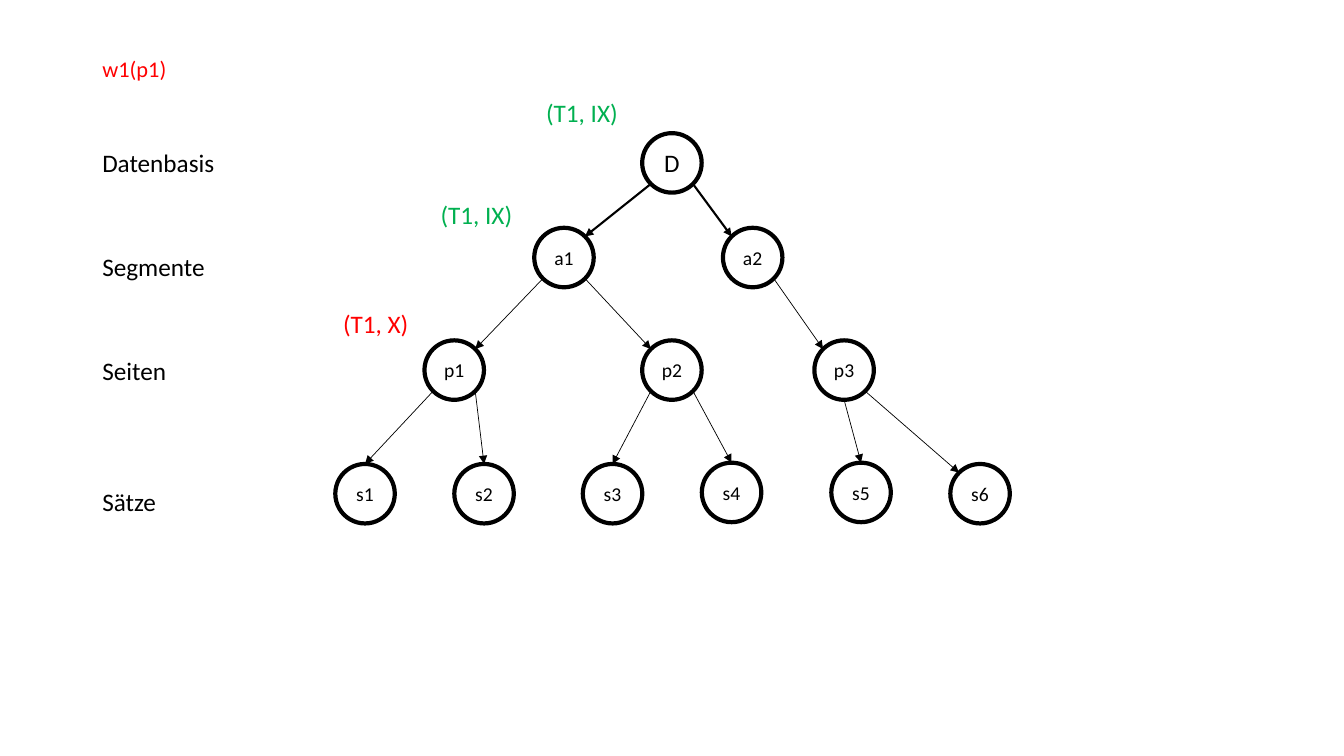
from dataclasses import dataclass
from math import sqrt

from lxml import etree
from pptx import Presentation
from pptx.dml.color import RGBColor
from pptx.enum import shapes as es, text as et
from pptx.oxml import ns
from pptx.util import Pt

HUES = {"ink": "000000", "red": "FF0000", "green": "00B050"}
FONT = "Calibri"
SIZE = 42.5  # diameter of a node
DIAG = 1 / sqrt(2)
SITES = {"N": (0, -1), "S": (0, 1), "NW": (-DIAG, -DIAG), "NE": (DIAG, -DIAG),
         "SW": (-DIAG, DIAG), "SE": (DIAG, DIAG)}


@dataclass
class Node:
    name: str
    left: float
    top: float
    size: int = 14

    def site(self, key: str) -> tuple[float, float]:
        """Return the point on the rim in the given compass direction."""
        x, y = SITES[key]
        half = SIZE / 2
        return self.left + half * (1 + x), self.top + half * (1 + y)


@dataclass
class Edge:
    start: str
    out: str
    end: str
    into: str
    width: float = 0.5


@dataclass
class Label:
    text: str
    left: float
    top: float
    width: float
    hue: str = "ink"
    wrap: bool = False


NODES = [
    Node("D", 458.7, 95.1, 18),
    Node("a1", 381.6, 162.7), Node("a2", 516.4, 162.7),
    Node("p1", 303.2, 243.1), Node("p2", 458.7, 243.1), Node("p3", 581.7, 243.1),
    Node("s1", 239.5, 331.4), Node("s2", 324.5, 331.4), Node("s3", 416.3, 331.4),
    Node("s4", 501.3, 330.5), Node("s5", 593.8, 330.5), Node("s6", 678.8, 331.4),
]
EDGES = [
    Edge("D", "SW", "a1", "NE", 1.5), Edge("D", "SE", "a2", "NW", 1.5),
    Edge("a1", "SW", "p1", "NE"), Edge("a1", "SE", "p2", "NW"),
    Edge("a2", "SE", "p3", "NW"),
    Edge("p1", "SW", "s1", "N"), Edge("p1", "SE", "s2", "N"),
    Edge("p2", "SW", "s3", "N"), Edge("p2", "SE", "s4", "N"),
    Edge("p3", "S", "s5", "N"), Edge("p3", "SE", "s6", "NW"),
]
LABELS = [
    Label("Datenbasis", 66, 101.8, 95.8),
    Label("Segmente", 66, 176.1, 88.6),
    Label("Seiten", 66, 250.5, 60.5),
    Label("Sätze", 66, 344, 53.3),
    Label("(T1, IX)", 383, 66.2, 66.2, "green"),
    Label("(T1, IX)", 307.6, 138.6, 78.5, "green", True),
    Label("(T1, X)", 238, 216.5, 86.4, "red", True),
]


def tint(hue: str) -> RGBColor:
    return RGBColor.from_string(HUES[hue])


def write(frame, words: str, size: int, hue: str = "ink"):
    """Fill the text frame and return its formatted paragraph."""
    frame.text = words
    par = frame.paragraphs[0]
    par.font.name = FONT
    par.font.size = Pt(size)
    par.font.color.rgb = tint(hue)
    return par


def draw_title(slide) -> None:
    title = slide.shapes.title
    title.left, title.top = Pt(66), Pt(28.8)
    title.width, title.height = Pt(828), Pt(42.5)
    frame = title.text_frame
    frame.auto_size = et.MSO_AUTO_SIZE.NONE
    frame.vertical_anchor = et.MSO_ANCHOR.MIDDLE
    par = write(frame, "w1(p1)", 16, "red")
    par.alignment = et.PP_ALIGN.LEFT
    par.line_spacing = 0.9


def draw_node(slide, node: Node) -> None:
    ring = slide.shapes.add_shape(
        es.MSO_SHAPE.FLOWCHART_CONNECTOR,
        Pt(node.left), Pt(node.top), Pt(SIZE), Pt(SIZE))
    ring.shadow.inherit = False
    ring.fill.background()
    ring.line.color.rgb = tint("ink")
    ring.line.width = Pt(3)
    frame = ring.text_frame
    frame.word_wrap = False
    frame.vertical_anchor = et.MSO_ANCHOR.MIDDLE
    write(frame, node.name, node.size).alignment = et.PP_ALIGN.CENTER


def draw_edge(slide, edge: Edge, nodes: dict[str, Node]) -> None:
    ends = nodes[edge.start].site(edge.out) + nodes[edge.end].site(edge.into)
    link = slide.shapes.add_connector(
        es.MSO_CONNECTOR.STRAIGHT, *(Pt(val) for val in ends))
    link.line.color.rgb = tint("ink")
    link.line.width = Pt(edge.width)
    props = link._element.spPr
    etree.SubElement(props.find(ns.qn("a:ln")), ns.qn("a:tailEnd"), type="triangle")
    etree.SubElement(props, ns.qn("a:effectLst"))


def draw_label(slide, label: Label) -> None:
    box = slide.shapes.add_textbox(
        Pt(label.left), Pt(label.top), Pt(label.width), Pt(29))
    frame = box.text_frame
    frame.word_wrap = label.wrap
    frame.auto_size = et.MSO_AUTO_SIZE.SHAPE_TO_FIT_TEXT
    write(frame, label.text, 18, label.hue)


def main() -> None:
    deck = Presentation()
    deck.slide_width, deck.slide_height = Pt(960), Pt(540)
    slide = deck.slides.add_slide(deck.slide_layouts.get_by_name("Title Only"))
    draw_title(slide)
    nodes = {node.name: node for node in NODES}
    for node in NODES:
        draw_node(slide, node)
    for edge in EDGES:
        draw_edge(slide, edge, nodes)
    for label in LABELS:
        draw_label(slide, label)
    deck.save("out.pptx")


if __name__ == "__main__":
    main()
